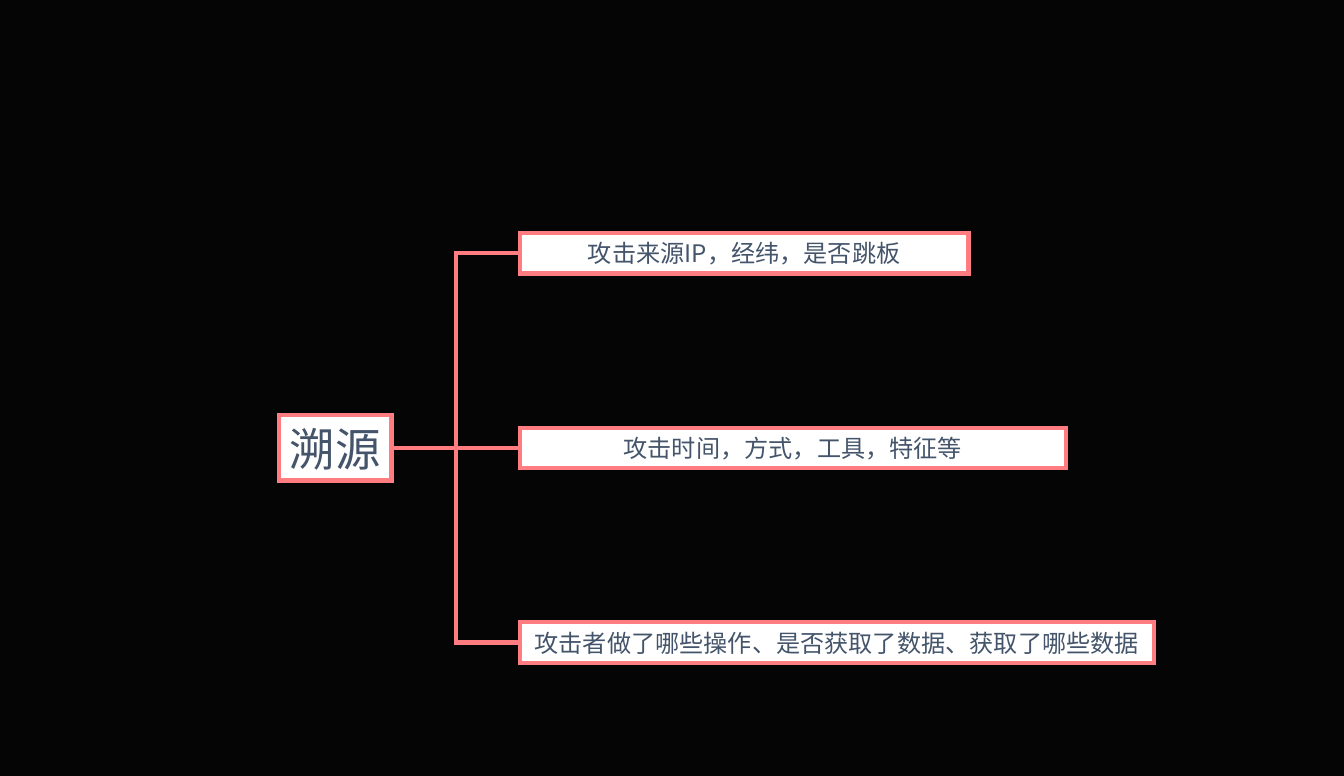
from lxml import etree
from pptx import Presentation
from pptx.dml.color import RGBColor
from pptx.enum import shapes, text
from pptx.oxml import ns
from pptx.util import Pt

COLORS = {"back": "050505", "box": "FFFFFF", "line": "FF7C80", "text": "44546A"}
FONT = "Noto Sans CJK SC"
ROOT = "溯源"
# Leaf text and box width
LEAVES = [
    ("攻击来源IP，经纬，是否跳板", 315.8),
    ("攻击时间，方式，工具，特征等", 384.5),
    ("攻击者做了哪些操作、是否获取了数据、获取了哪些数据", 446.4),
]


def color(name):
    return RGBColor.from_string(COLORS[name])


def style_line(sp):
    sp.line.color.rgb = color("line")
    sp.line.width = Pt(3)
    # Sharp corners
    ln = sp._element.spPr.find(ns.qn("a:ln"))
    etree.SubElement(ln, ns.qn("a:miter")).set("lim", "800000")


def add_node(s, label, left, middle, width, height, size):
    """Add a framed label centred vertically on middle."""
    sp = s.shapes.add_shape(shapes.MSO_SHAPE.RECTANGLE, Pt(left),
                            Pt(middle - height / 2), Pt(width), Pt(height))
    sp.fill.solid()
    sp.fill.fore_color.rgb = color("box")
    style_line(sp)
    sp.shadow.inherit = False
    tf = sp.text_frame
    tf.word_wrap = True
    tf.vertical_anchor = text.MSO_ANCHOR.MIDDLE
    tf.margin_left = tf.margin_right = tf.margin_top = tf.margin_bottom = 0
    p = tf.paragraphs[0]
    p.alignment = text.PP_ALIGN.CENTER
    r = p.add_run()
    r.text = label
    r.font.size = Pt(size)
    r.font.name = FONT
    r.font.color.rgb = color("text")
    # East Asian typeface
    ea = etree.SubElement(r.font._element, ns.qn("a:ea"))
    ea.set("typeface", FONT)
    return sp


def add_branch(s, root, leaf):
    """Join the right side of root to the left side of leaf."""
    c = s.shapes.add_connector(shapes.MSO_CONNECTOR.ELBOW, 0, 0, 0, 0)
    c.begin_connect(root, 3)
    c.end_connect(leaf, 1)
    style_line(c)
    etree.SubElement(c._element.spPr, ns.qn("a:effectLst"))


def add_tree(s, left, top, height):
    """Draw the root and its leaves, spread evenly over the height."""
    leaf_height = 28.6
    pitch = (height - leaf_height) / (len(LEAVES) - 1)
    root = add_node(s, ROOT, left, top + height / 2, 79.2, 46, 32)
    leaves = [
        add_node(s, label, left + 169.8, top + leaf_height / 2 + i * pitch,
                 width, leaf_height, 17)
        for i, (label, width) in enumerate(LEAVES)
    ]
    for leaf in leaves:
        add_branch(s, root, leaf)


def main():
    prs = Presentation()
    prs.slide_width, prs.slide_height = Pt(946.8), Pt(546.9)
    s = prs.slides.add_slide(prs.slide_layouts[6])
    s.background.fill.solid()
    s.background.fill.fore_color.rgb = color("back")
    add_tree(s, 196.6, 164.2, 303)
    prs.save("out.pptx")


if __name__ == "__main__":
    main()
